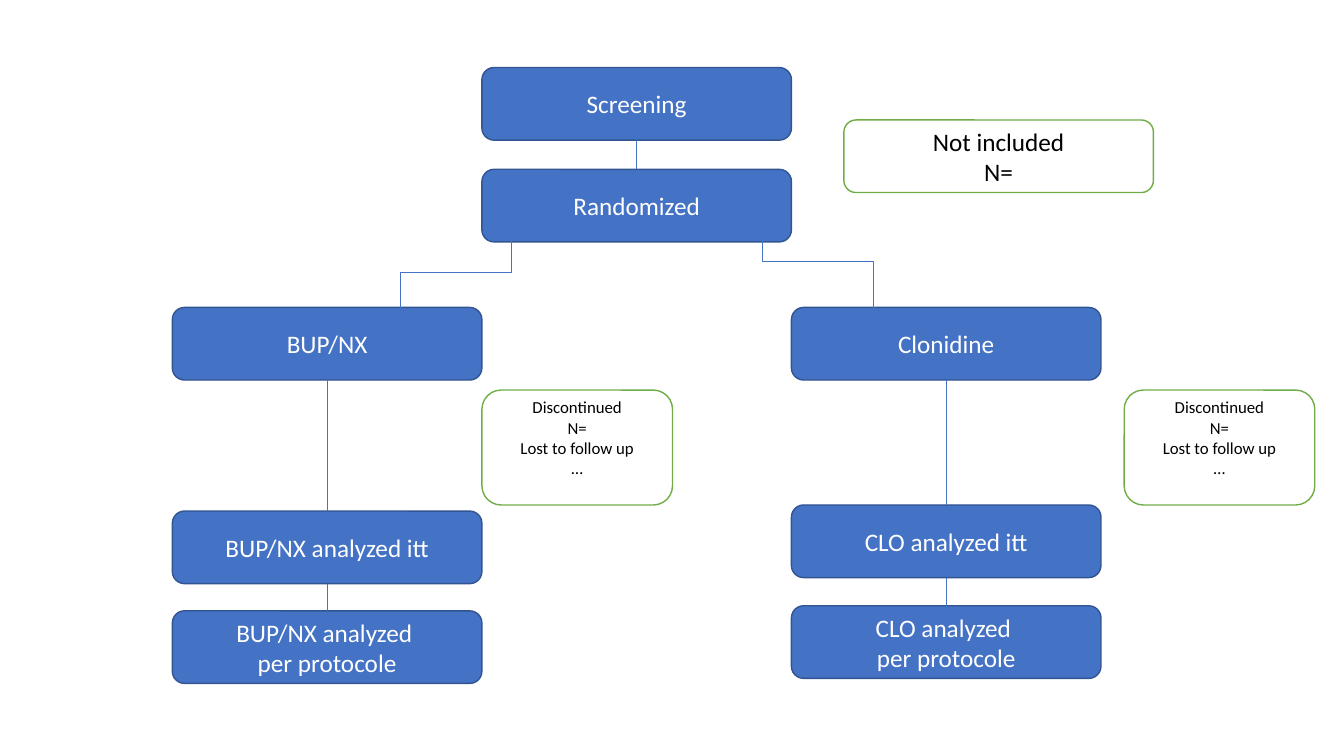
from dataclasses import dataclass

from pptx import Presentation
from pptx.dml.color import RGBColor
from pptx.enum import shapes, text
from pptx.util import Inches, Pt

BLUE, EDGE, GREEN, WHITE, BLACK = "4472C4", "325491", "70AD47", "FFFFFF", "000000"
WIDE, HIGH = 3.07, 0.72  # size of a flow box
MID, LEFT, RIGHT = 4.78, 1.71, 7.85  # left edges of the three columns


@dataclass
class Box:
    words: str
    x: float
    y: float
    w: float = WIDE
    h: float = HIGH
    fill: str = BLUE
    edge: str = EDGE
    ink: str = WHITE
    size: int = 18
    foot: float = 0.05  # bottom inset


@dataclass
class Elbow:
    x1: float
    y1: float
    x2: float
    y2: float


def color(code: str) -> RGBColor:
    return RGBColor.from_string(code)


def write(frame, words: str, *, size: int, ink: str, foot: float) -> None:
    frame.word_wrap = True
    frame.vertical_anchor = text.MSO_ANCHOR.MIDDLE
    frame.margin_bottom = Inches(foot)
    for i, row in enumerate(words.split("\n")):
        para = frame.paragraphs[0] if i == 0 else frame.add_paragraph()
        para.alignment = text.PP_ALIGN.CENTER
        run = para.add_run()
        run.text = row
        run.font.name = "Calibri"
        run.font.size = Pt(size)
        run.font.color.rgb = color(ink)


def draw_box(box: Box) -> None:
    shape = slide.shapes.add_shape(
        shapes.MSO_SHAPE.ROUNDED_RECTANGLE,
        Inches(box.x), Inches(box.y), Inches(box.w), Inches(box.h))
    shape.shadow.inherit = False
    shape.fill.solid()
    shape.fill.fore_color.rgb = color(box.fill)
    shape.line.color.rgb = color(box.edge)
    shape.line.width = Pt(1)
    write(shape.text_frame, box.words, size=box.size, ink=box.ink, foot=box.foot)


def connect(kind, x1: float, y1: float, x2: float, y2: float):
    line = slide.shapes.add_connector(
        kind, Inches(x1), Inches(y1), Inches(x2), Inches(y2))
    line.line.color.rgb = color(BLUE)
    line.line.width = Pt(0.5)
    props = line._element.spPr
    props.add_effectLst() if hasattr(props, "add_effectLst") else props.get_or_add_effectLst()
    return line


def draw_link(top: Box, low: Box) -> None:
    x = top.x + top.w / 2
    connect(shapes.MSO_CONNECTOR.STRAIGHT, x, top.y + top.h, x, low.y)


def draw_elbow(bend: Elbow) -> None:
    # Lay the elbow on its side, then turn it so that it leaves downwards
    cx, cy = (bend.x1 + bend.x2) / 2, (bend.y1 + bend.y2) / 2
    dx, dy = abs(bend.x2 - bend.x1) / 2, (bend.y2 - bend.y1) / 2
    right = bend.x2 > bend.x1
    side = dy if right else -dy
    line = connect(shapes.MSO_CONNECTOR.ELBOW, cx + side, cy - dx, cx - side, cy + dx)
    line._element.spPr.xfrm.set("rot", str((270 if right else 90) * 60000))


deck = Presentation()
deck.slide_width, deck.slide_height = Inches(13.33), Inches(7.5)
slide = deck.slides.add_slide(deck.slide_layouts[6])

# Flow boxes
screen = Box("Screening", MID, 0.67)
random = Box("Randomized", MID, 1.68)
bup = [Box("BUP/NX", LEFT, 3.05),
       Box("BUP/NX analyzed itt", LEFT, 5.07),
       Box("BUP/NX analyzed \nper protocole", LEFT, 6.06)]
clo = [Box("Clonidine", RIGHT, 3.05),
       Box("CLO analyzed itt", RIGHT, 5.01),
       Box("CLO analyzed \nper protocole", RIGHT, 6.01)]

# Side notes
notes = [Box("Not included\nN=", 8.37, 1.19, fill=WHITE, edge=GREEN, ink=BLACK)]
notes += [Box("Discontinued\nN=\nLost to follow up\n…", x, 3.87, 1.89, 1.14,
              WHITE, GREEN, BLACK, 12, 0.25) for x in (MID, 11.15)]

for box in [random, screen, *bup, *clo, *notes]:
    draw_box(box)

# Straight links down each column
for chain in ([screen, random], bup, clo):
    for top, low in zip(chain, chain[1:]):
        draw_link(top, low)

# Split into the two arms
for bend in (Elbow(7.56, 2.03, 8.66, 3.15), Elbow(5.07, 2.14, 3.97, 3.26)):
    draw_elbow(bend)

deck.save("out.pptx")
